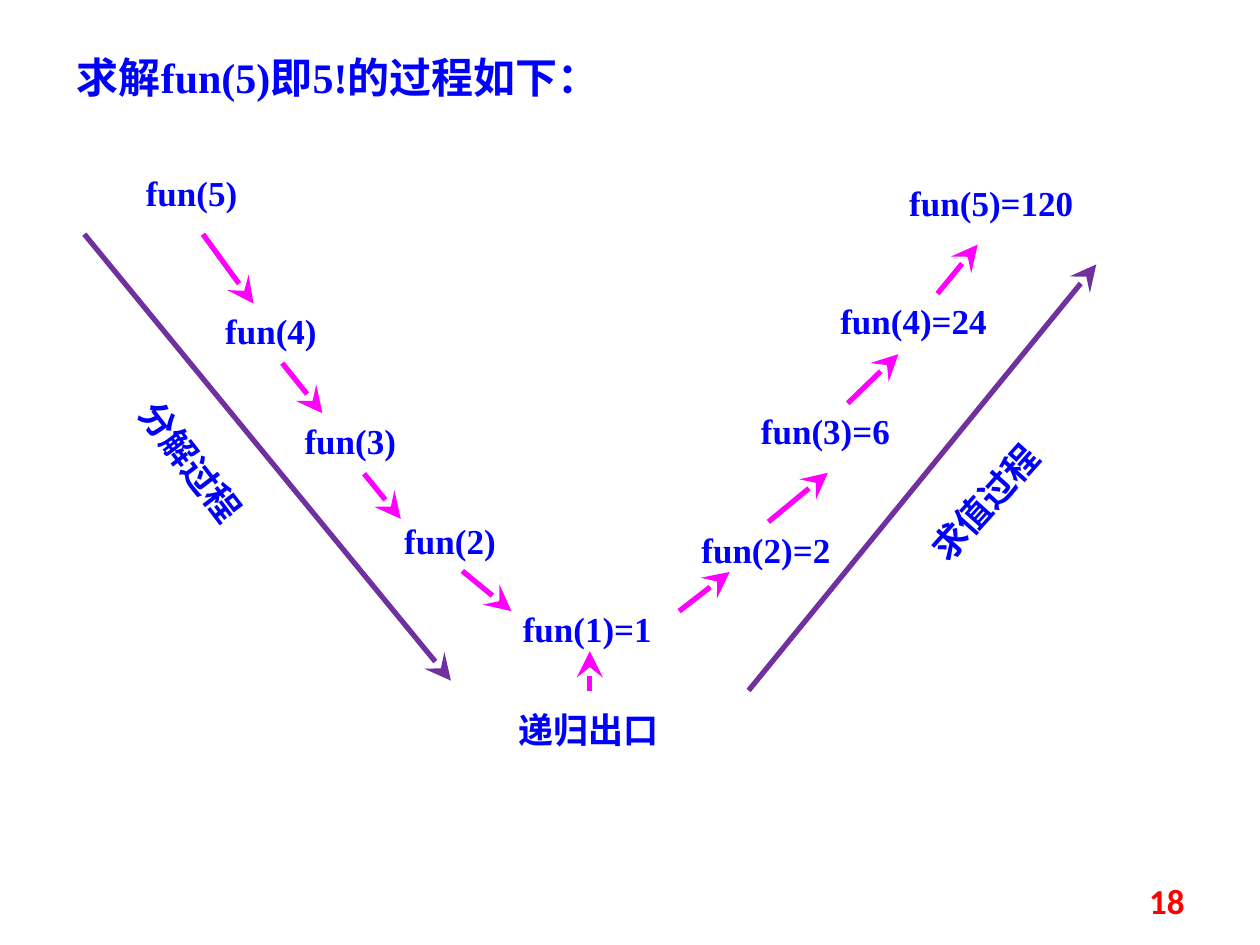
from lxml.etree import SubElement
from pptx import Presentation
from pptx.dml.color import RGBColor
from pptx.enum.shapes import MSO_CONNECTOR
from pptx.enum.text import MSO_ANCHOR, PP_ALIGN
from pptx.oxml.ns import qn
from pptx.util import Cm, Pt

BLUE = RGBColor(0x00, 0x00, 0xFF)
MAGENTA = RGBColor(0xFF, 0x00, 0xFF)
PURPLE = RGBColor(0x70, 0x30, 0xA0)
RED = RGBColor(0xFF, 0x00, 0x00)
SERIF = "Times New Roman"
HAN = "Noto Sans CJK SC"
ROW_HEIGHT = 1.09

CALLS = [
    ("fun(5)", 2.69, 3.33, 2.79),
    ("fun(4)", 4.29, 6.12, 2.79),
    ("fun(3)", 5.89, 8.33, 2.79),
    ("fun(2)", 7.9, 10.34, 2.79),
    ("fun(1)=1", 10.29, 12.12, 3.81),
    ("fun(2)=2", 13.89, 10.52, 3.4),
    ("fun(3)=6", 15.09, 8.13, 3.61),
    ("fun(4)=24", 16.69, 5.92, 3.61),
    ("fun(5)=120", 18.08, 3.53, 4.19),
]
STEPS = [
    ((4.09, 4.72), (5.11, 6.12)),
    ((5.69, 7.32), (6.5, 8.33)),
    ((7.34, 9.55), (8.08, 10.46)),
    ((9.32, 11.51), (10.31, 12.32)),
    ((11.89, 13.92), (11.89, 13.13)),
    ((13.69, 12.32), (14.71, 11.53)),
    ((15.49, 10.52), (16.69, 9.53)),
    ((17.09, 8.13), (18.11, 7.14)),
    ((18.9, 5.92), (19.71, 4.93)),
]
PHASES = [
    ((1.7, 4.72), (9.09, 13.72)),
    ((15.09, 13.92), (22.1, 5.33)),
]
CAPTIONS = [
    ("递归出口", 9.47, 14.15, 0, HAN),
    ("分解过程", 1.45, 8.76, 52.5, HAN),
    ("求值过程", 17.45, 9.58, 311.9, SERIF),
]


class Painter:
    def __init__(self, page):
        self.page = page

    def text(self, words, left, top, width, height=ROW_HEIGHT, size=20,
             font=SERIF, color=BLUE, align=PP_ALIGN.LEFT,
             anchor=MSO_ANCHOR.TOP, rotation=0):
        box = self.page.shapes.add_textbox(Cm(left), Cm(top), Cm(width), Cm(height))
        box.rotation = rotation
        frame = box.text_frame
        frame.word_wrap = True
        frame.vertical_anchor = anchor
        para = frame.paragraphs[0]
        para.text = words
        para.alignment = align
        para.font.size = Pt(size)
        para.font.bold = True
        para.font.color.rgb = color
        para.font.name = font
        defaults = para._p.pPr.find(qn("a:defRPr"))
        SubElement(defaults, qn("a:ea")).set("typeface", HAN)

    def arrow(self, start, end, color):
        line = self.page.shapes.add_connector(
            MSO_CONNECTOR.STRAIGHT, *(Cm(value) for value in start + end))
        line.line.color.rgb = color
        line.line.width = Pt(3)
        head = SubElement(line.line._get_or_add_ln(), qn("a:tailEnd"))
        for key, value in (("type", "stealth"), ("w", "lg"), ("len", "lg")):
            head.set(key, value)
        SubElement(line._element.spPr, qn("a:effectLst"))


def main():
    deck = Presentation()
    deck.slide_width, deck.slide_height = Cm(25.4), Cm(19.05)
    painter = Painter(deck.slides.add_slide(deck.slide_layouts[6]))

    painter.text("求解fun(5)即5!的过程如下：", 1.3, 0.91, 11.99, 1.27, size=24)
    for words, left, top, width in CALLS:
        painter.text(words, left, top, width)
    for start, end in STEPS:
        painter.arrow(start, end, MAGENTA)
    for start, end in PHASES:
        painter.arrow(start, end, PURPLE)
    for words, left, top, rotation, font in CAPTIONS:
        painter.text(words, left, top, 4.8, font=font,
                     align=PP_ALIGN.CENTER, rotation=rotation)
    painter.text("18", 18.21, 17.65, 5.92, 1.02, font="Calibri", color=RED,
                 align=PP_ALIGN.RIGHT, anchor=MSO_ANCHOR.MIDDLE)

    deck.save("out.pptx")


if __name__ == "__main__":
    main()
